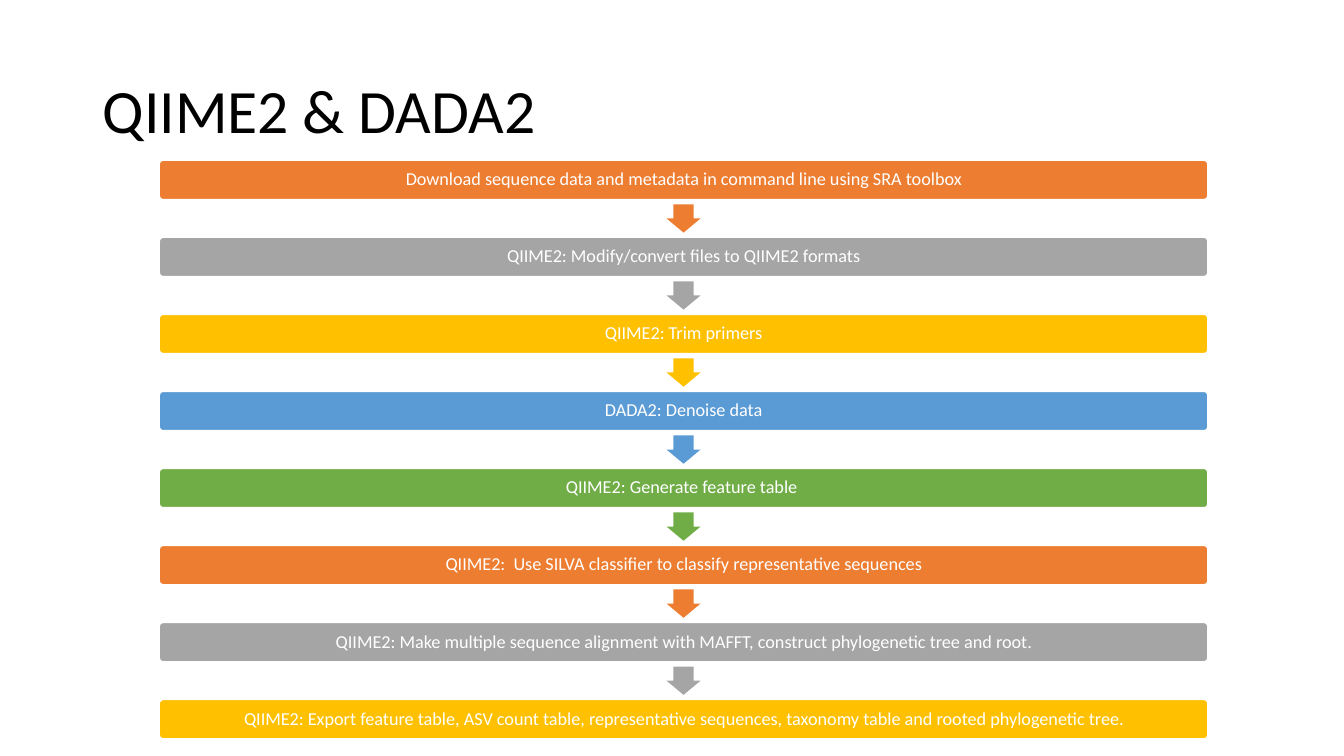
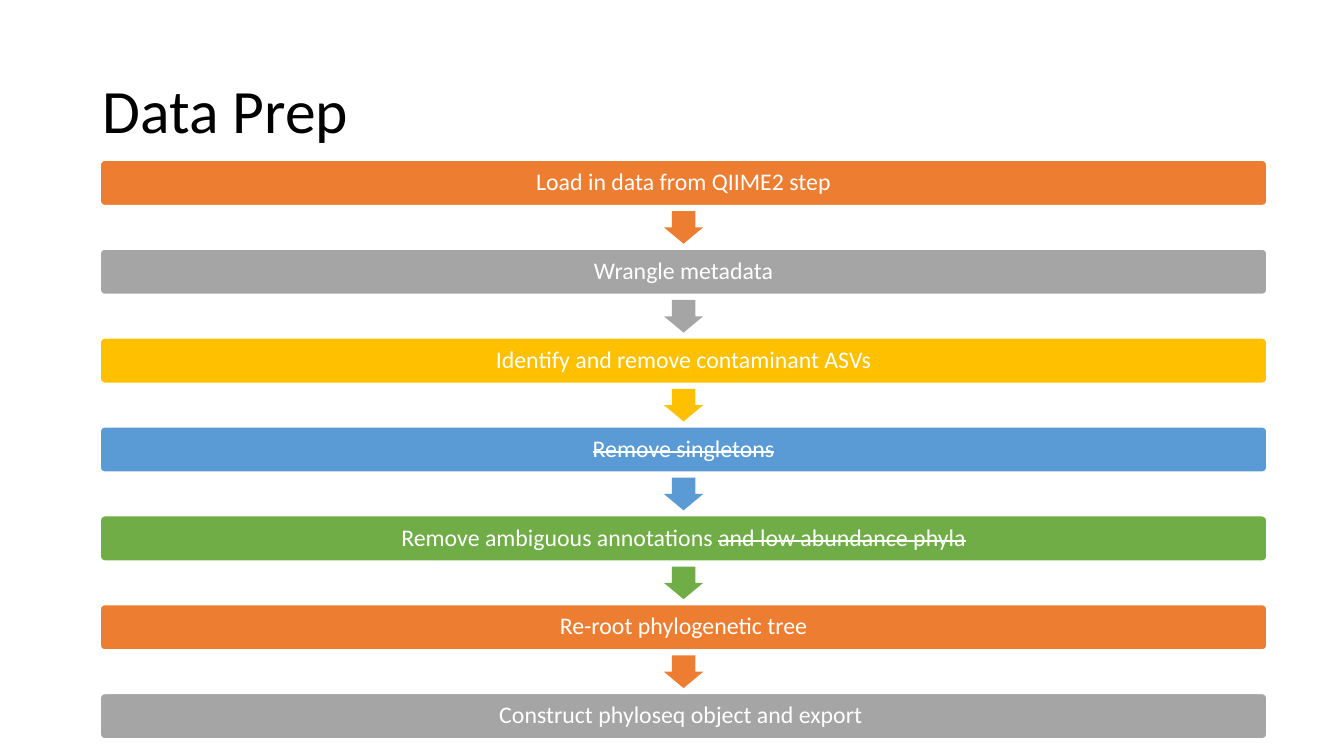
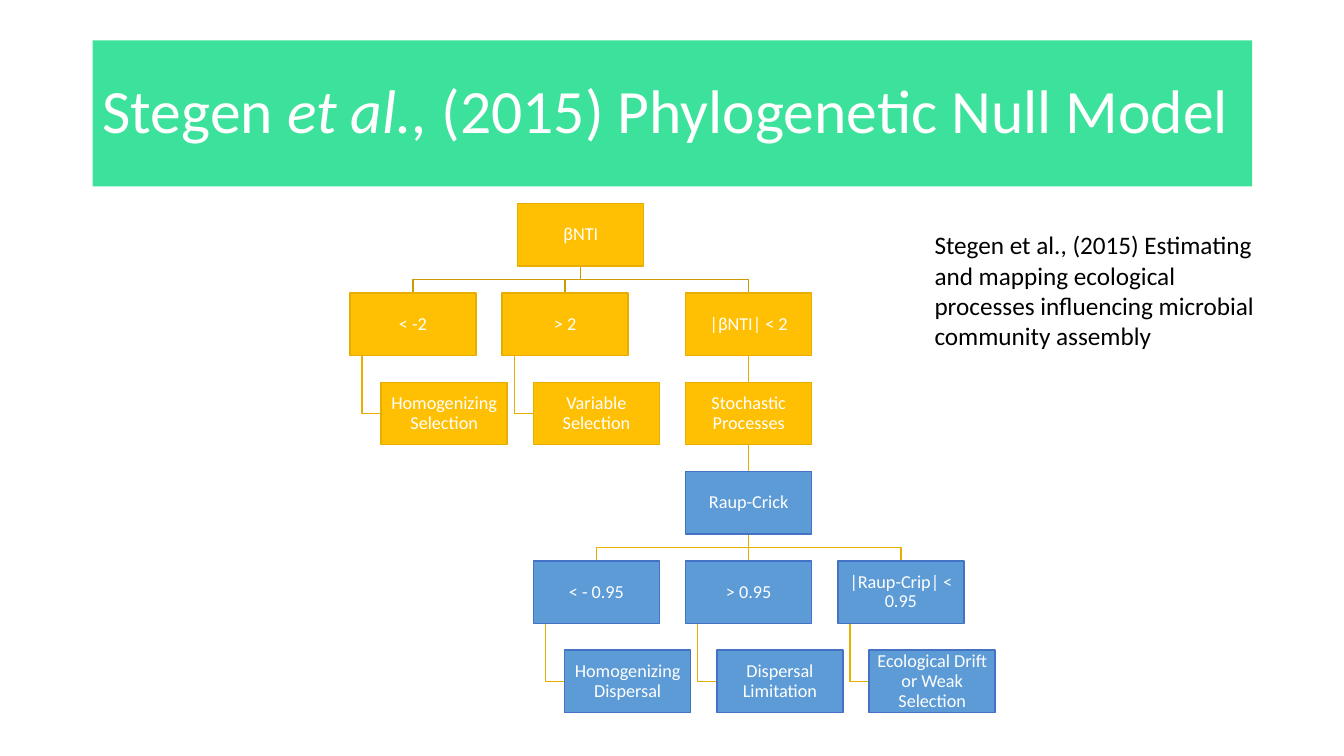
from dataclasses import dataclass
from itertools import cycle

from lxml.etree import SubElement
from pptx import Presentation
from pptx.dml.color import RGBColor
from pptx.enum.shapes import MSO_CONNECTOR, MSO_SHAPE
from pptx.enum.text import MSO_ANCHOR, PP_ALIGN
from pptx.oxml.ns import qn
from pptx.util import Inches, Pt

# Shared look
FONT = "Calibri"
WHITE = RGBColor(0xFF, 0xFF, 0xFF)
BLACK = RGBColor(0x00, 0x00, 0x00)
ORANGE = RGBColor(0xED, 0x7D, 0x31)
GREY = RGBColor(0xA5, 0xA5, 0xA5)
GOLD = RGBColor(0xFF, 0xC0, 0x00)
BLUE = RGBColor(0x5B, 0x9B, 0xD5)
GREEN = RGBColor(0x70, 0xAD, 0x47)
MINT = RGBColor(0x3C, 0xE2, 0x9B)
STEP_COLORS = (ORANGE, GREY, GOLD, BLUE, GREEN)

# Decision tree colours: (fill, outline)
SELECTION = (RGBColor(0xFF, 0xC0, 0x03), RGBColor(0xE7, 0xAE, 0x00))
RAUP_CRICK = (RGBColor(0x5C, 0x9B, 0xD5), RGBColor(0x44, 0x72, 0xC4))
ROOT_LINK = RGBColor(0xCC, 0x9A, 0x00)
BRANCH_LINK = SELECTION[1]

# Flow chart proportions
SLIDE_W, SLIDE_H = 13.33, 7.5
FLOW_TOP, FLOW_BOTTOM, FLOW_CENTER = 1.59, 7.33, 6.78
BAR_SHARE = 0.51

# Tree grid
NODE_W, NODE_H = 1.25, 0.62
TREE_TOP, ROW_PITCH, COLUMN_PITCH = 2.02, 0.886, 1.51
HANG_INDENT, HANG_STEM = 0.31, 0.12
STOCHASTIC = 6.8
WEAK = STOCHASTIC + COLUMN_PITCH
STRONG = STOCHASTIC - COLUMN_PITCH
VARIABLE = STRONG - HANG_INDENT
HOMOGENIZING = VARIABLE - COLUMN_PITCH
ROOT = (HOMOGENIZING + STOCHASTIC) / 2

DOWNLOAD_STEPS = [
    "Download sequence data and metadata in command line using SRA toolbox",
    "QIIME2: Modify/convert files to QIIME2 formats",
    "QIIME2: Trim primers",
    "DADA2: Denoise data",
    "QIIME2: Generate feature table ",
    "QIIME2:  Use SILVA classifier to classify representative sequences",
    "QIIME2: Make multiple sequence alignment with MAFFT, "
    "construct phylogenetic tree and root.",
    "QIIME2: Export feature table, ASV count table, representative sequences, "
    "taxonomy table and rooted phylogenetic tree.",
]
PREP_STEPS = [
    "Load in data from QIIME2 step",
    "Wrangle metadata",
    "Identify and remove contaminant ASVs",
    [("Remove singletons", "strike")],
    [("Remove ambiguous annotations ", ""), ("and low abundance phyla", "strike")],
    "Re-root phylogenetic tree",
    "Construct phyloseq object and export ",
]


@dataclass
class Node:
    label: str
    column: float
    row: int
    colors: tuple
    parent: str = ""
    hanging: bool = False

    @property
    def left(self):
        return self.column + (HANG_INDENT if self.hanging else 0)

    @property
    def top(self):
        return TREE_TOP + self.row * ROW_PITCH

    @property
    def center(self):
        return self.left + NODE_W / 2

    @property
    def bottom(self):
        return self.top + NODE_H


TREE = [
    Node("βNTI", ROOT, 0, SELECTION),
    Node("< -2", HOMOGENIZING, 1, SELECTION, "βNTI"),
    Node("Homogenizing Selection", HOMOGENIZING, 2, SELECTION, "< -2", True),
    Node("> 2", VARIABLE, 1, SELECTION, "βNTI"),
    Node("Variable Selection", VARIABLE, 2, SELECTION, "> 2", True),
    Node("|βNTI| < 2", STOCHASTIC, 1, SELECTION, "βNTI"),
    Node("Stochastic Processes", STOCHASTIC, 2, SELECTION, "|βNTI| < 2"),
    Node("Raup-Crick", STOCHASTIC, 3, RAUP_CRICK, "Stochastic Processes"),
    Node("< - 0.95", STRONG, 4, RAUP_CRICK, "Raup-Crick"),
    Node("Homogenizing Dispersal", STRONG, 5, RAUP_CRICK, "< - 0.95", True),
    Node("> 0.95", STOCHASTIC, 4, RAUP_CRICK, "Raup-Crick"),
    Node("Dispersal Limitation", STOCHASTIC, 5, RAUP_CRICK, "> 0.95", True),
    Node("|Raup-Crip| < 0.95", WEAK, 4, RAUP_CRICK, "Raup-Crick"),
    Node("Ecological Drift or Weak Selection", WEAK, 5, RAUP_CRICK,
         "|Raup-Crip| < 0.95", True),
]


def write(shape, text, size, color=WHITE, align=PP_ALIGN.CENTER,
          anchor=MSO_ANCHOR.MIDDLE, inset=(0.1, 0.05), spacing=0.9):
    """Fill a shape with a string or with (string, style) runs."""
    frame = shape.text_frame
    frame.word_wrap = True
    frame.vertical_anchor = anchor
    frame.margin_left = frame.margin_right = Inches(inset[0])
    frame.margin_top = frame.margin_bottom = Inches(inset[1])
    paragraph = frame.paragraphs[0]
    paragraph.alignment = align
    paragraph.line_spacing = spacing
    for words, style in [(text, "")] if isinstance(text, str) else text:
        run = paragraph.add_run()
        run.text = words
        run.font.name, run.font.size = FONT, Pt(size)
        run.font.color.rgb = color
        if style == "italic":
            run.font.italic = True
        elif style == "strike":
            run.font._element.set("strike", "sngStrike")


def add_block(slide, kind, left, top, width, height, fill, outline=None):
    block = slide.shapes.add_shape(
        kind, Inches(left), Inches(top), Inches(width), Inches(height))
    block.shadow.inherit = False
    block.fill.solid()
    block.fill.fore_color.rgb = fill
    if outline is None:
        block.line.fill.background()
    else:
        block.line.color.rgb = outline
        block.line.width = Pt(1)
    return block


def add_title(slide, text, color=BLACK, band=None):
    title = slide.shapes.add_textbox(
        Inches(0.92), Inches(0.4), Inches(11.5), Inches(1.45))
    if band is not None:
        title.fill.solid()
        title.fill.fore_color.rgb = band
    write(title, text, 44, color=color, align=PP_ALIGN.LEFT)


def add_flow(slide, steps, width, size, inset):
    """Stack bars evenly, with an arrow centred in each gap."""
    pitch = (FLOW_BOTTOM - FLOW_TOP) / (len(steps) - 1 + BAR_SHARE)
    bar_h = pitch * BAR_SHARE
    gap = pitch - bar_h
    arrow_h = gap * 0.75
    arrow_w = arrow_h * 1.2
    for index, (step, color) in enumerate(zip(steps, cycle(STEP_COLORS))):
        top = FLOW_TOP + index * pitch
        bar = add_block(slide, MSO_SHAPE.ROUNDED_RECTANGLE,
                        FLOW_CENTER - width / 2, top, width, bar_h, color, WHITE)
        bar.adjustments[0] = 0.1
        write(bar, step, size, inset=(inset, inset))
        if index < len(steps) - 1:
            arrow = add_block(slide, MSO_SHAPE.DOWN_ARROW,
                              FLOW_CENTER - arrow_w / 2,
                              top + bar_h + (gap - arrow_h) / 2,
                              arrow_w, arrow_h, color)
            arrow.adjustments[0], arrow.adjustments[1] = 0.6, 0.5


def add_link(slide, parent, child):
    """Join two nodes with a straight or a bent line."""
    if child.hanging:
        stem, middle = parent.left + HANG_STEM, child.top + NODE_H / 2
        route = [(stem, parent.bottom), (stem, middle), (child.left, middle)]
    else:
        middle = (parent.bottom + child.top) / 2
        route = [(parent.center, parent.bottom), (parent.center, middle),
                 (child.center, middle), (child.center, child.top)]
    points = [(Inches(x), Inches(y)) for x, y in route]
    if points[0][0] == points[-1][0]:
        link = slide.shapes.add_connector(
            MSO_CONNECTOR.STRAIGHT, *points[0], *points[-1])
    else:
        outline = slide.shapes.build_freeform(*points[0])
        outline.add_line_segments(points[1:], close=False)
        link = outline.convert_to_shape()
        link.fill.background()
    link.line.color.rgb = BRANCH_LINK if parent.parent else ROOT_LINK
    link.line.width = Pt(1)
    SubElement(link.element.spPr, qn("a:effectLst"))


def add_tree(slide, nodes):
    by_label = {node.label: node for node in nodes}
    for node in nodes:
        if node.parent:
            add_link(slide, by_label[node.parent], node)
    for node in nodes:
        box = add_block(slide, MSO_SHAPE.RECTANGLE, node.left, node.top,
                        NODE_W, NODE_H, *node.colors)
        write(box, node.label, 13, inset=(0.01, 0.01))


def main():
    deck = Presentation()
    deck.slide_width, deck.slide_height = Inches(SLIDE_W), Inches(SLIDE_H)
    blank = deck.slide_layouts[6]

    # Sequence processing
    slide = deck.slides.add_slide(blank)
    add_title(slide, "QIIME2 & DADA2")
    add_flow(slide, DOWNLOAD_STEPS, width=10.4, size=13, inset=0.05)

    # Data preparation
    slide = deck.slides.add_slide(blank)
    add_title(slide, "Data Prep")
    add_flow(slide, PREP_STEPS, width=11.57, size=17, inset=0.07)

    # Null model decision tree
    slide = deck.slides.add_slide(blank)
    add_title(slide, [("Stegen ", ""), ("et al., ", "italic"),
                      ("(2015) Phylogenetic Null Model", "")],
              color=WHITE, band=MINT)
    add_tree(slide, TREE)
    citation = slide.shapes.add_textbox(
        Inches(9.17), Inches(2.23), Inches(3.49), Inches(1.62))
    write(citation, "Stegen et al., (2015) Estimating and mapping ecological "
          "processes influencing microbial community assembly", 18, color=BLACK,
          align=PP_ALIGN.LEFT, anchor=MSO_ANCHOR.TOP, spacing=1.0)

    deck.save("out.pptx")


if __name__ == "__main__":
    main()
